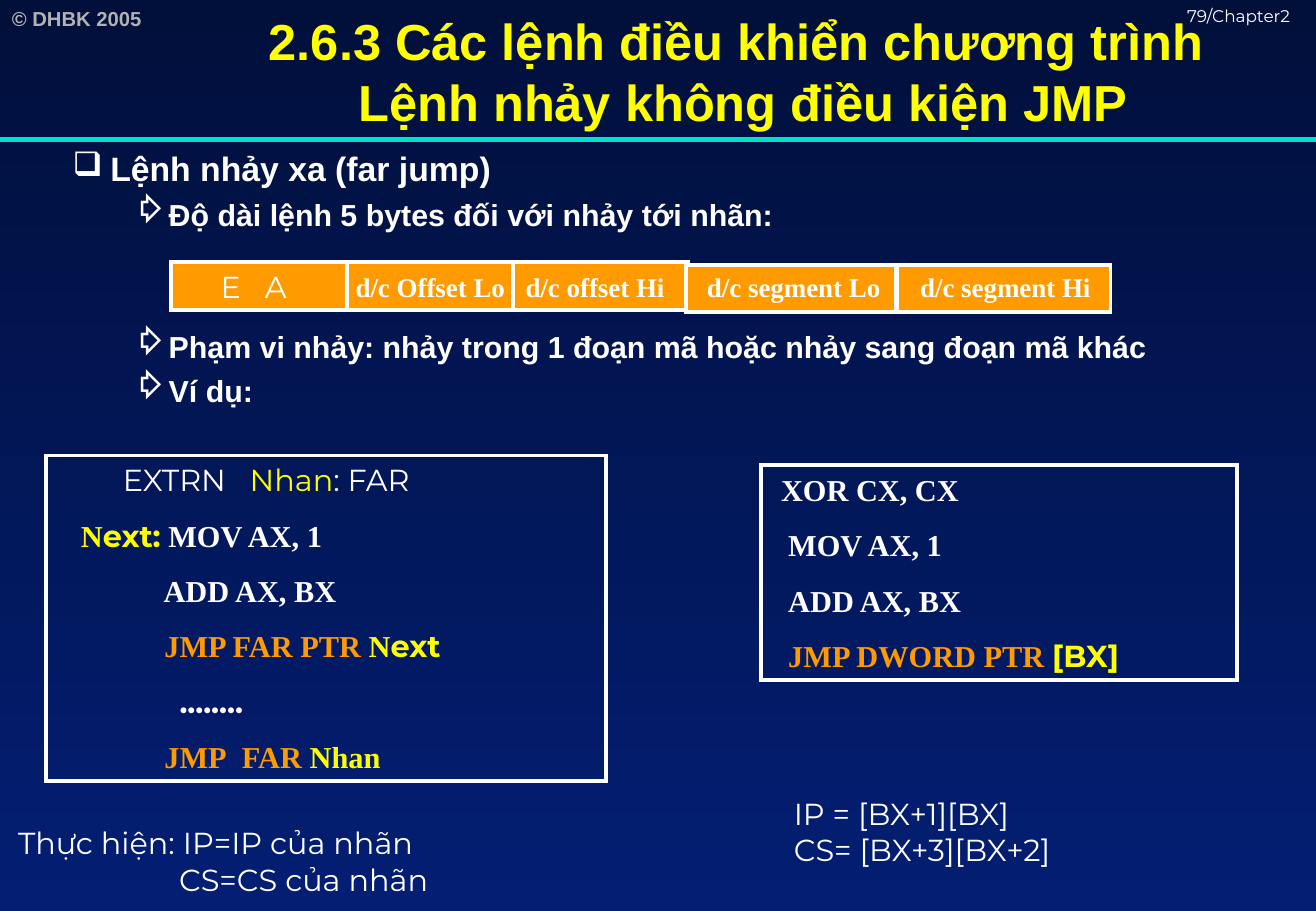
from dataclasses import dataclass
from typing import Any, NamedTuple

import pptx
import pptx.dml.color
import pptx.enum.shapes
import pptx.enum.text
import pptx.oxml.ns
import pptx.util
from lxml import etree

Pt = pptx.util.Pt
Align = pptx.enum.text.PP_ALIGN
Anchor = pptx.enum.text.MSO_ANCHOR


@dataclass(frozen=True)
class Theme:
    night: str = "010F3B"
    navy: str = "031E73"
    teal: str = "00DFCA"
    white: str = "FFFFFF"
    yellow: str = "FFFF00"
    orange: str = "FF9B00"
    gray: str = "B2B2B2"
    sans: str = "Arial"
    round: str = "Montserrat"
    serif: str = "Times New Roman"
    symbol: str = "OpenSymbol"
    title: float = 30
    topic: float = 20
    text: float = 18
    field: float = 16
    footer: float = 12
    page: float = 10
    outline: float = 2.25
    rule: float = 3


THEME = Theme()


class Box(NamedTuple):
    left: float
    top: float
    width: float
    height: float

    def emu(self) -> list[int]:
        return [Pt(length) for length in self]


@dataclass(frozen=True)
class Span:
    text: str
    color: str = THEME.white
    font: str = THEME.serif
    bold: bool = True
    size: float = THEME.text
    tracking: float = 0


@dataclass(frozen=True)
class Line:
    spans: tuple[Span, ...]
    indent: float = 0
    hanging: float = 0
    before: float = 0
    bullet: str = ""
    align: Any = Align.LEFT


@dataclass(frozen=True)
class Label:
    box: Box
    lines: tuple[Line, ...]
    anchor: Any = Anchor.TOP


def rgb(color: str) -> pptx.dml.color.RGBColor:
    return pptx.dml.color.RGBColor.from_string(color)


def apply(target: Any, values: dict[str, Any]) -> None:
    for name, value in values.items():
        setattr(target, name, value)


def add_child(parent: Any, tag: str, **attributes: str) -> Any:
    return etree.SubElement(parent, pptx.oxml.ns.qn(tag), attributes)


def write_lines(frame: Any, lines: tuple[Line, ...]) -> None:
    for index, line in enumerate(lines):
        paragraph = frame.add_paragraph() if index else frame.paragraphs[0]
        props = paragraph._p.get_or_add_pPr()
        props.set("marL", str(Pt(line.indent)))
        props.set("indent", str(Pt(-line.hanging)))
        if line.bullet:
            add_child(add_child(props, "a:buClr"), "a:srgbClr", val=THEME.white)
            add_child(props, "a:buFont", typeface=THEME.symbol)
            add_child(props, "a:buChar", char=line.bullet)
        apply(paragraph, {"alignment": line.align, "space_before": Pt(line.before if index else 0)})
        for span in line.spans:
            run = paragraph.add_run()
            run.text = span.text
            apply(run.font, {"name": span.font, "size": Pt(span.size), "bold": span.bold})
            run.font.color.rgb = rgb(span.color)
            if span.tracking:
                run._r.get_or_add_rPr().set("spc", str(round(span.tracking * 100)))


def draw_label(slide: Any, label: Label) -> None:
    frame = slide.shapes.add_textbox(*label.box.emu()).text_frame
    apply(frame, {"word_wrap": True, "vertical_anchor": label.anchor})
    write_lines(frame, label.lines)


def draw_panel(slide: Any, box: Box, fill: str = "", lines: tuple[Line, ...] = ()) -> None:
    panel = slide.shapes.add_shape(pptx.enum.shapes.MSO_SHAPE.RECTANGLE, *box.emu())
    panel.shadow.inherit = False
    if fill:
        panel.fill.solid()
        panel.fill.fore_color.rgb = rgb(fill)
    else:
        panel.fill.background()
    panel.line.color.rgb = rgb(THEME.white)
    panel.line.width = Pt(THEME.outline)
    add_child(panel._element.spPr.find(pptx.oxml.ns.qn("a:ln")), "a:miter", lim="800000")
    apply(panel.text_frame, {"word_wrap": True, "vertical_anchor": Anchor.TOP})
    write_lines(panel.text_frame, lines)


def draw_rule(slide: Any, start: tuple[float, float], end: tuple[float, float], color: str, width: float) -> None:
    ends = [Pt(length) for length in (*start, *end)]
    rule = slide.shapes.add_connector(pptx.enum.shapes.MSO_CONNECTOR.STRAIGHT, *ends)
    rule.line.color.rgb = rgb(color)
    rule.line.width = Pt(width)
    add_child(rule._element.spPr, "a:effectLst")


def light(text: str, color: str = THEME.white, tracking: float = 0) -> Span:
    return Span(text, color, THEME.round, False, tracking=tracking)


def code(indent: float, *spans: Span) -> Line:
    return Line(spans, indent, before=11.2)


def title(text: str) -> Line:
    return Line((Span(text, THEME.yellow, THEME.sans, size=THEME.title),), align=Align.CENTER)


def point(text: str, before: float = 4.5) -> Line:
    return Line((Span(text, font=THEME.sans),), 90, 18, before, "⇨")


def field(left: float, width: float, text: str) -> Label:
    return Label(Box(left, 157, width, 26.6), (Line((Span(text, size=THEME.field),)),))


WIDTH, HEIGHT = 780.48, 540
RULE_Y = 82.8
WIDE_SPACE = light(" ", tracking=9.4)

LABELS = (
    Label(Box(0, 0, 113, 21.6), (Line((Span("© DHBK 2005", THEME.gray, THEME.sans, size=THEME.footer),)),)),
    Label(Box(697, 0, 83.4, 18), (Line((Span("79/Chapter2", THEME.white, THEME.round, False, THEME.page),)),)),
    Label(Box(101.5, 0, 679, 84.2),
          (title("2.6.3 Các lệnh điều khiển chương trình "), title("Lệnh nhảy không điều kiện JMP")),
          Anchor.MIDDLE),
    Label(Box(0, 84.2, 780, 455.8), (
        Line((Span("Lệnh nhảy xa (far jump)", font=THEME.sans, size=THEME.topic),), 58.3, 22.3, bullet="❑"),
        point("Độ dài lệnh 5 bytes đối với nhảy tới nhãn:"),
        point("Phạm vi nhảy: nhảy trong 1 đoạn mã hoặc nhảy sang đoạn mã khác", 56.7),
        point("Ví dụ:"),
    )),
    Label(Box(123.8, 155.5, 68.4, 28.8), (Line((light("E"), WIDE_SPACE, light("A"))),)),
    field(203.8, 112, "d/c Offset Lo"),
    field(304.6, 110, "d/c offset Hi"),
    field(412.2, 126, "d/c segment Lo"),
    field(538.6, 126, "d/c segment Hi"),
    Label(Box(3.6, 485, 292, 51), (
        Line((light("Thực hiện: IP=IP của nhãn"),)),
        Line((light("CS=CS của nhãn"),), 95.5),
    )),
    Label(Box(463.7, 467.6, 264, 51), (
        Line((light("IP = [BX+1][BX]"),)),
        Line((light("CS= [BX+3][BX+2]"),)),
    )),
)

FIELD_BOXES = (
    Box(303.8, 155.5, 104.4, 28.1),
    Box(101.5, 155.5, 203, 28.1),
    Box(406.8, 157, 124.6, 28.1),
    Box(532, 157, 126.7, 28.1),
)

FAR_LABEL_CODE = (
    code(38.4, light("EXTRN"), WIDE_SPACE, light("Nhan", THEME.yellow), light(": FAR")),
    code(13.5, Span("N", THEME.yellow), Span("ext:", THEME.yellow, THEME.round), Span(" MOV AX, 1")),
    code(62.5, Span("ADD AX, BX")),
    code(63, Span("JMP FAR PTR ", THEME.orange), Span("N", THEME.yellow),
         Span("ext", THEME.yellow, THEME.round)),
    code(72, Span("........", font=THEME.round)),
    code(63, Span("JMP", THEME.orange), Span(" ", THEME.orange, tracking=4.5),
         Span("FAR ", THEME.orange), Span("Nhan", THEME.yellow)),
)

FAR_POINTER_CODE = (
    code(4.75, Span("XOR CX, CX")),
    code(9, Span("MOV AX, 1")),
    code(9, Span("ADD AX, BX")),
    code(9, Span("JMP DWORD PTR ", THEME.orange), Span("[BX]", THEME.yellow, THEME.round)),
)


def main() -> None:
    deck = pptx.Presentation()
    apply(deck, {"slide_width": Pt(WIDTH), "slide_height": Pt(HEIGHT)})
    slide = deck.slides.add_slide(deck.slide_layouts[6])
    backdrop = slide.background.fill
    backdrop.gradient()
    backdrop.gradient_angle = 270
    for stop, color in zip(backdrop.gradient_stops, (THEME.night, THEME.navy)):
        stop.color.rgb = rgb(color)
    draw_rule(slide, (0, RULE_Y), (WIDTH, RULE_Y), THEME.teal, THEME.rule)
    for box in FIELD_BOXES:
        draw_panel(slide, box, THEME.orange)
    draw_rule(slide, (206, 155.5), (206, 183.6), THEME.white, THEME.outline)
    draw_panel(slide, Box(27.4, 270, 332, 193), lines=FAR_LABEL_CODE)
    draw_panel(slide, Box(451.4, 275.8, 282.2, 127.4), lines=FAR_POINTER_CODE)
    for label in LABELS:
        draw_label(slide, label)
    deck.save("out.pptx")


if __name__ == "__main__":
    main()
